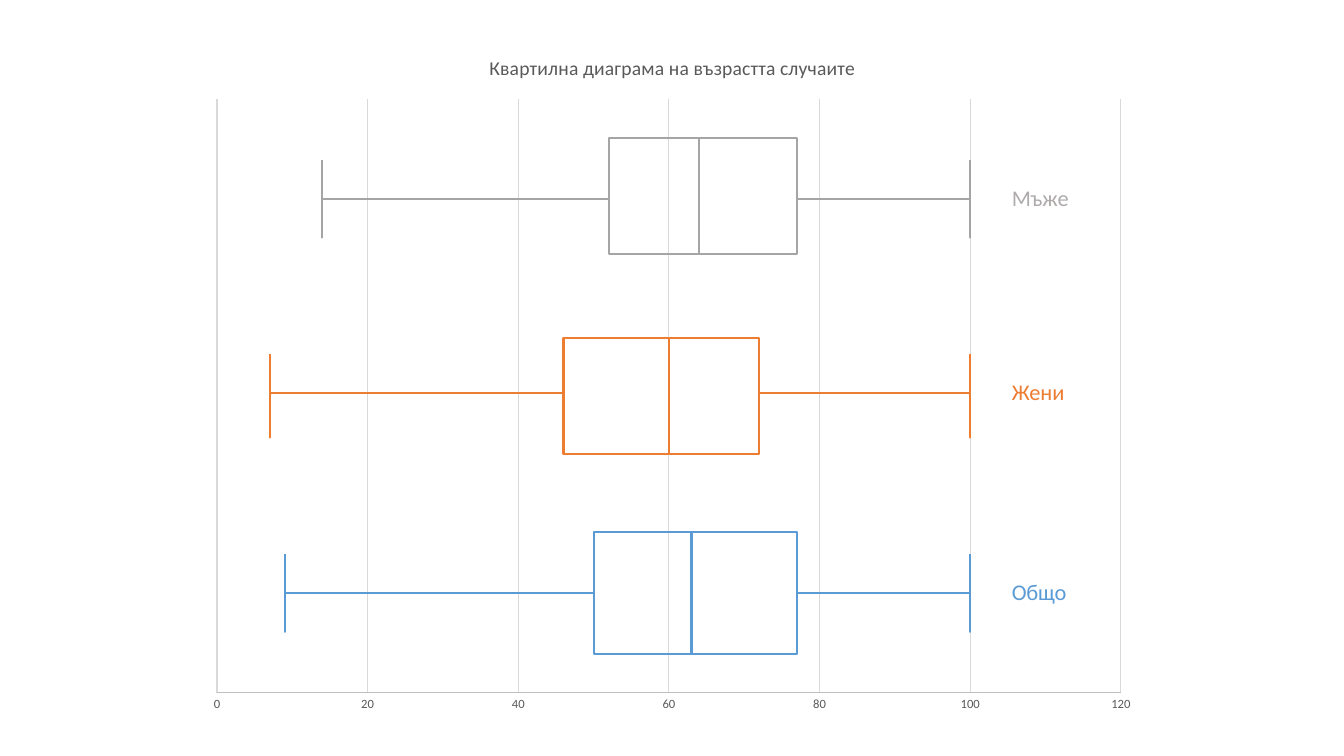
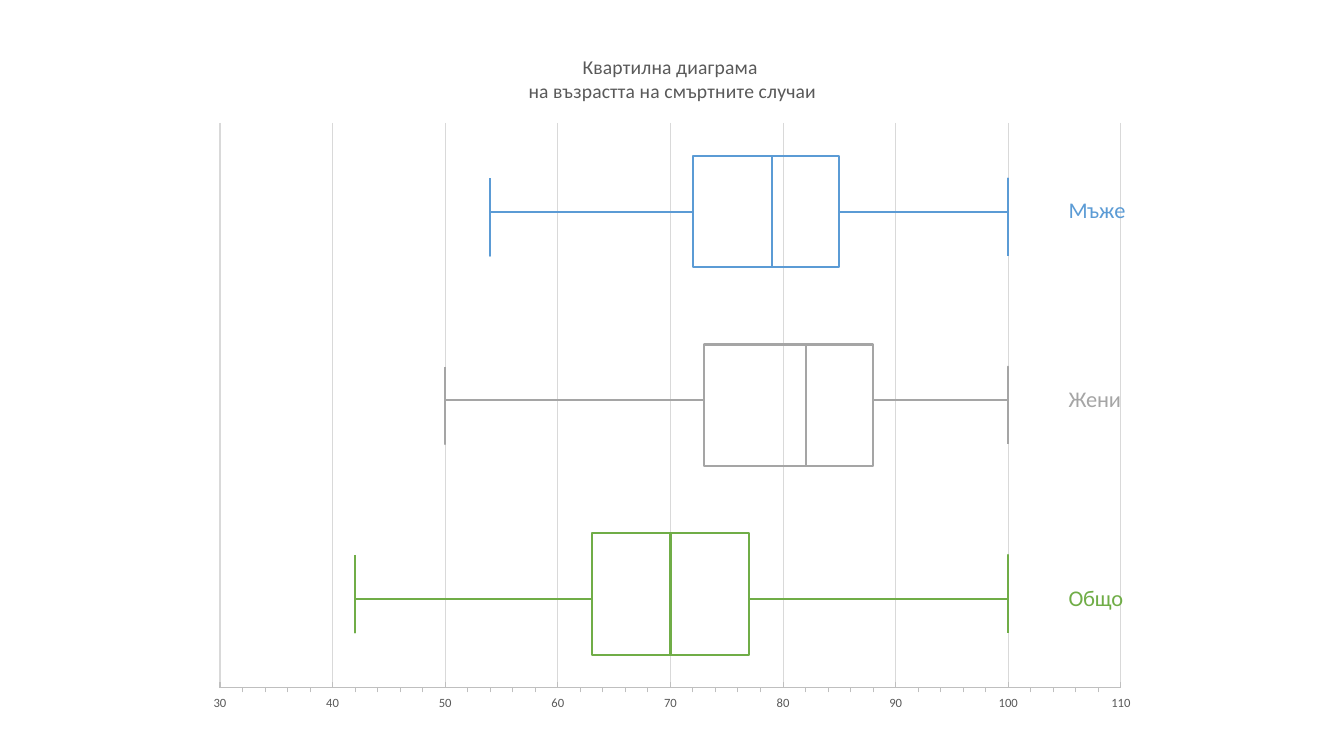
from lxml.etree import SubElement
from pptx import Presentation
from pptx.chart.data import XyChartData
from pptx.dml.color import RGBColor
from pptx.enum.chart import (XL_AXIS_CROSSES, XL_CHART_TYPE, XL_LABEL_POSITION,
                             XL_TICK_LABEL_POSITION, XL_TICK_MARK)
from pptx.oxml.ns import qn
from pptx.util import Emu, Pt

BLUE, ORANGE, GRAY, GREEN = "5B9BD5", "ED7D31", "A5A5A5", "70AD47"
LABEL_GRAY, INK, AXIS, GRID = "AFABAB", "595959", "BFBFBF", "D9D9D9"
FONT = "Calibri"
CHART_BOX = (195, 31, 955, 694)
ROWS = ("Общо", "Жени", "Мъже")  # bottom to top
LABEL_X = 105


def px(n):
    return Emu(round(n * 914400 / 100.8))


def rgb(color):
    return RGBColor.from_string(color)


def row_center(row, unit):
    """Height of a row; the axis spans 30 units and the top box ends at 100."""
    return 100 - 28 * unit + (5 + 10 * row) * unit


def box_points(quartiles, mid, unit, last_cap_up):
    """One continuous path through whiskers, box and median."""
    low, q1, median, q3, high = quartiles
    top, bottom = mid + 3 * unit, mid - 3 * unit
    caps = [mid + 2 * unit, mid - 2 * unit]
    last_caps = caps[::-1] if last_cap_up else caps
    return [*((low, y) for y in caps), (low, mid), (q1, mid),
            (q1, top), (q3, top), (q3, bottom), (q1, bottom), (q1, top),
            (median, top), (median, bottom), (q3, bottom), (q3, mid),
            (high, mid), *((high, y) for y in last_caps)]


class Deck:
    def __init__(self):
        self.prs = Presentation()
        self.prs.slide_width, self.prs.slide_height = px(1344), px(756)
        self.s = None

    def new_slide(self):
        self.s = self.prs.slides.add_slide(self.prs.slide_layouts[6])

    def font(self, font, size, color):
        font.name, font.size, font.bold = FONT, Pt(size), False
        font.color.rgb = rgb(color)

    def line(self, line, color, width):
        line.color.rgb, line.width = rgb(color), Pt(width)

    def box_plot(self, title, items, unit, plot_box, last_cap_up=False):
        """Each item is (row, colour, quartiles); without quartiles it is a label."""
        data = XyChartData()
        for i, (row, _, quartiles) in enumerate(items, 1):
            mid = row_center(row, unit)
            series = data.add_series(f"Series {i}" if quartiles else ROWS[row])
            points = (box_points(quartiles, mid, unit, last_cap_up)
                      if quartiles else [(LABEL_X, mid)])
            for x, y in points:
                series.add_data_point(x, round(y))
        chart = self.s.shapes.add_chart(XL_CHART_TYPE.XY_SCATTER_LINES_NO_MARKERS,
                                        *map(px, CHART_BOX), data).chart
        self.font(chart.font, 10, "000000")
        chart.has_legend = False
        plot = chart.plots[0]
        plot.vary_by_categories = False
        for series, (_, color, quartiles) in zip(plot.series, items):
            series.smooth = False
            self.line(series.format.line, color, 1.5)
            if not quartiles:
                self.series_label(series, color)
        self.title(chart, title)
        self.place_plot(chart, plot_box)
        y_axis = chart.value_axis
        y_axis.minimum_scale = round(100 - 28 * unit)
        y_axis.maximum_scale = round(100 + 2 * unit)
        y_axis.has_major_gridlines = False
        y_axis.crosses = XL_AXIS_CROSSES.MINIMUM
        y_axis.format.line.fill.background()
        y_axis.visible = False
        return chart

    def series_label(self, series, color):
        label = series.points[0].data_label
        self.font(label.font, 16, color)
        label.position = XL_LABEL_POSITION.RIGHT
        for tag, shown in (("c:showVal", "0"), ("c:showSerName", "1")):
            for flag in series._element.iter(qn(tag)):
                flag.set("val", shown)

    def title(self, chart, lines):
        chart.has_title = True
        tf = chart.chart_title.text_frame
        for i, text in enumerate(lines):
            p = tf.add_paragraph() if i else tf.paragraphs[0]
            r = p.add_run()
            r.text = text
            self.font(r.font, 14, INK)

    def place_plot(self, chart, plot_box):
        """Fix the inner plot area, given in slide px."""
        left, top, width, height = CHART_BOX
        area = chart._chartSpace.chart.plotArea
        for old in area.findall(qn("c:layout")):
            area.remove(old)
        layout = SubElement(area, qn("c:layout"))
        area.insert(0, layout)
        manual = SubElement(layout, qn("c:manualLayout"))
        x, y, w, h = plot_box
        for tag, value in (("layoutTarget", "inner"), ("xMode", "edge"), ("yMode", "edge"),
                           ("x", (x - left) / width), ("y", (y - top) / height),
                           ("w", w / width), ("h", h / height)):
            SubElement(manual, qn(f"c:{tag}")).set("val", str(value))

    def age_axis(self, chart, low, high, step, minor=None):
        axis = chart.category_axis
        axis.minimum_scale, axis.maximum_scale, axis.major_unit = low, high, step
        axis.major_tick_mark = XL_TICK_MARK.INSIDE if minor else XL_TICK_MARK.NONE
        axis.minor_tick_mark = XL_TICK_MARK.OUTSIDE if minor else XL_TICK_MARK.NONE
        if minor:
            axis.minor_unit = minor
        axis.tick_label_position = XL_TICK_LABEL_POSITION.NEXT_TO_AXIS
        axis.has_major_gridlines = True
        self.line(axis.major_gridlines.format.line, GRID, 0.75)
        self.line(axis.format.line, AXIS, 0.75)
        self.font(axis.tick_labels.font, 9, INK)


def main():
    total, women, men = range(3)
    deck = Deck()

    deck.new_slide()
    chart = deck.box_plot(
        ["Квартилна диаграма на възрастта случаите"],
        [(total, BLUE, (9, 50, 63, 77, 100)),
         (women, ORANGE, (7, 46, 60, 72, 100)),
         (men, GRAY, (14, 52, 64, 77, 100)),
         (total, BLUE, None), (women, ORANGE, None), (men, LABEL_GRAY, None)],
        100 / 28, (217, 99, 904, 594), last_cap_up=True)
    deck.age_axis(chart, 0, 120, 20)

    deck.new_slide()
    chart = deck.box_plot(
        ["Квартилна диаграма ", "на възрастта на смъртните случаи"],
        [(men, BLUE, (54, 72, 79, 85, 100)),
         (total, GREEN, None),
         (women, GRAY, (50, 73, 82, 88, 100)),
         (women, GRAY, None), (men, BLUE, None),
         (total, GREEN, (42, 63, 70, 77, 100))],
        1.72, (220, 123, 901, 565))
    deck.age_axis(chart, 30, 110, 10, minor=2)

    deck.prs.save("out.pptx")


if __name__ == "__main__":
    main()
